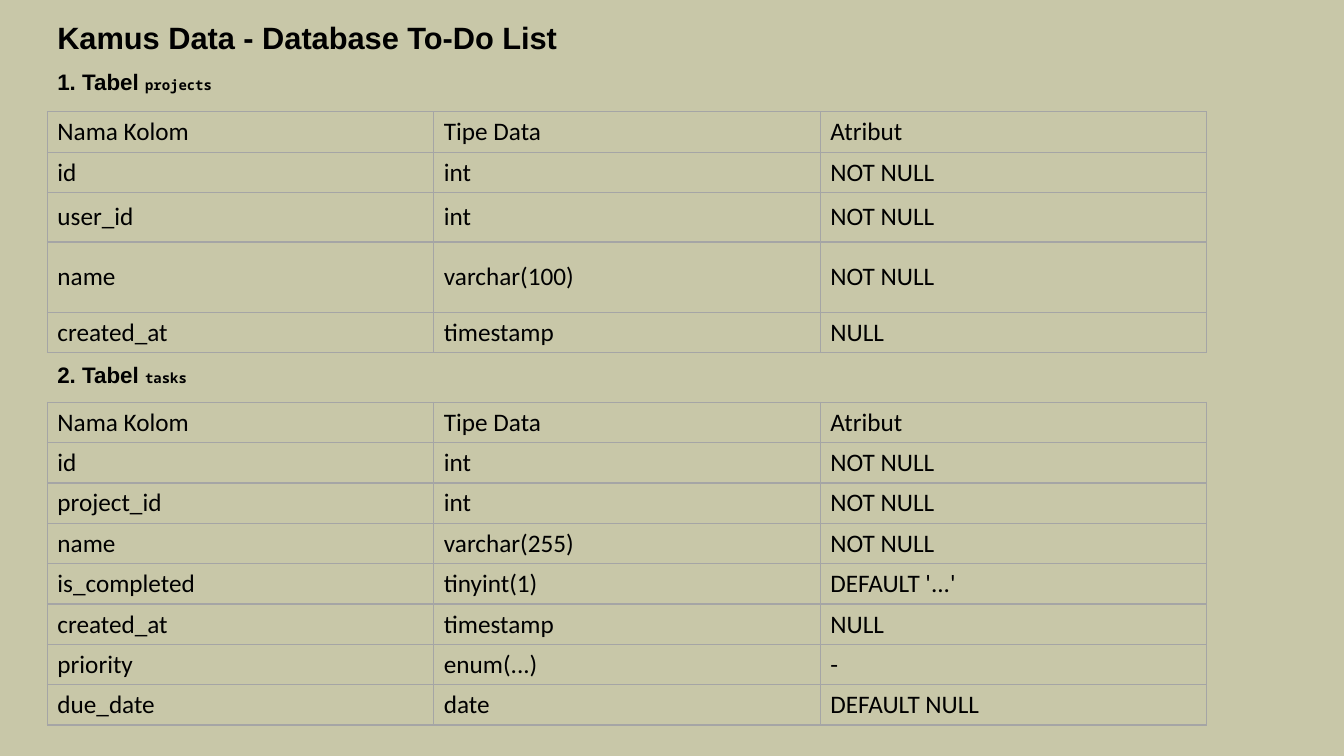
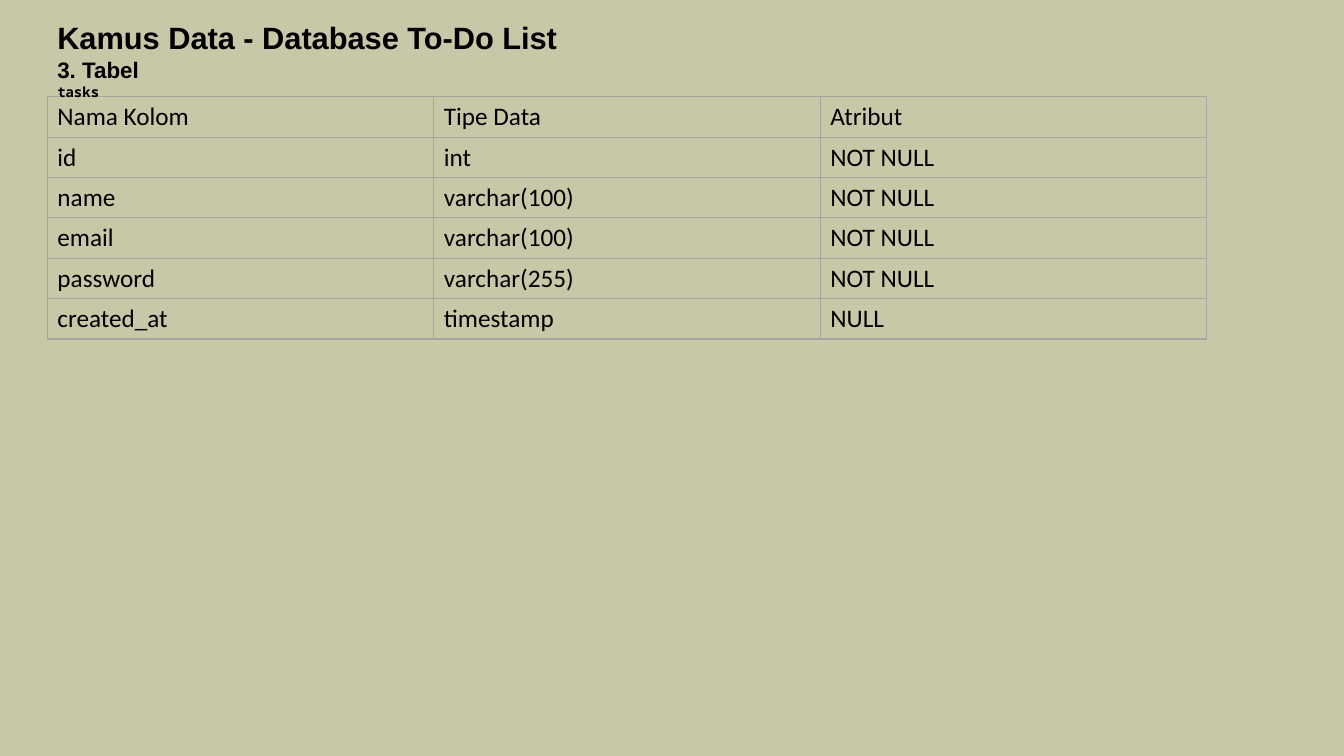
from lxml import etree
from pptx import Presentation
from pptx.dml.color import RGBColor
from pptx.enum.text import MSO_ANCHOR
from pptx.oxml.ns import qn
from pptx.util import Inches, Pt

MIDDLE = MSO_ANCHOR.MIDDLE
TOP = MSO_ANCHOR.TOP

# Content: each table has a number, name, heading box (top, width), top, rows
TITLE = "Kamus Data - Database To-Do List"
HEAD = ("Nama Kolom", "Tipe Data", "Atribut")
PROJECTS = [
    ("id", "int", "NOT NULL"),
    ("user_id", "int", "NOT NULL"),
    ("name", "varchar(100)", "NOT NULL"),
    ("created_at", "timestamp", "NULL"),
]
TASKS = [
    ("id", "int", "NOT NULL"),
    ("project_id", "int", "NOT NULL"),
    ("name", "varchar(255)", "NOT NULL"),
    ("is_completed", "tinyint(1)", "DEFAULT '...'"),
    ("created_at", "timestamp", "NULL"),
    ("priority", "enum(...)", "-"),
    ("due_date", "date", "DEFAULT NULL"),
]
USERS = [
    ("id", "int", "NOT NULL"),
    ("name", "varchar(100)", "NOT NULL"),
    ("email", "varchar(100)", "NOT NULL"),
    ("password", "varchar(255)", "NOT NULL"),
    ("created_at", "timestamp", "NULL"),
]
SLIDES = [
    [("1. Tabel ", "projects", (0.63, 6), 1.11, PROJECTS),
     ("2. Tabel ", "tasks", (3.53, 6), 3.99, TASKS)],
    [("3. Tabel ", "tasks", (0.51, 1.2), 0.96, USERS)],
]

# Shared look
COLORS = {"page": "C8C7A8", "text": "000000", "rule": "A5A5A5"}
FONTS = {
    "title": {"name": "Arial", "size": Pt(22), "bold": True},
    "label": {"name": "Arial", "size": Pt(16), "bold": True},
    "code": {"name": "Noto Sans Mono", "size": Pt(10), "bold": True},
    "cell": {"name": "Calibri", "size": Pt(18), "bold": False},
}
LEFT, WIDTH, ROW = 0.47, 11.5, 0.4
TALL = {"user_id": 0.49, ("name", "projects"): 0.7}


def rgb(key):
    return RGBColor.from_string(COLORS[key])


def write(para, text, style):
    run = para.add_run()
    run.text = text
    for key, value in FONTS[style].items():
        setattr(run.font, key, value)
    run.font.color.rgb = rgb("text")


def add_text(slide, top, width, height, parts):
    box = slide.shapes.add_textbox(
        Inches(LEFT), Inches(top), Inches(width), Inches(height))
    frame = box.text_frame
    frame.word_wrap = True
    frame.vertical_anchor = TOP
    for text, style in parts:
        write(frame.paragraphs[0], text, style)


def add_rules(cell):
    props = cell._tc.get_or_add_tcPr()
    for side in ("lnL", "lnR", "lnT", "lnB"):
        line = etree.SubElement(props, qn("a:" + side), w=str(Pt(1)))
        fill = etree.SubElement(line, qn("a:solidFill"))
        etree.SubElement(fill, qn("a:srgbClr"), val=COLORS["rule"])


def add_grid(slide, name, top, body):
    rows = [HEAD] + body
    highs = [TALL.get(row[0], TALL.get((row[0], name), ROW)) for row in rows]
    table = slide.shapes.add_table(
        len(rows), len(HEAD), Inches(LEFT), Inches(top),
        Inches(WIDTH), Inches(sum(highs))).table
    table.first_row = table.horz_banding = False
    for r, (row, high) in enumerate(zip(rows, highs)):
        table.rows[r].height = Inches(high)
        for c, text in enumerate(row):
            cell = table.cell(r, c)
            cell.vertical_anchor = MIDDLE
            add_rules(cell)
            cell.fill.background()
            write(cell.text_frame.paragraphs[0], text, "cell")


def main():
    prs = Presentation()
    prs.slide_width, prs.slide_height = Inches(13.33), Inches(7.5)
    page = prs.slide_master.background.fill
    page.solid()
    page.fore_color.rgb = rgb("page")
    for tables in SLIDES:
        slide = prs.slides.add_slide(prs.slide_layouts[6])
        add_text(slide, 0.14, 5.41, 0.45, [(TITLE, "title")])
        for label, name, (y, width), top, body in tables:
            add_grid(slide, name, top, body)
            add_text(slide, y, width, 0.45,
                     [(label, "label"), (name, "code")])
    prs.save("out.pptx")


if __name__ == "__main__":
    main()
